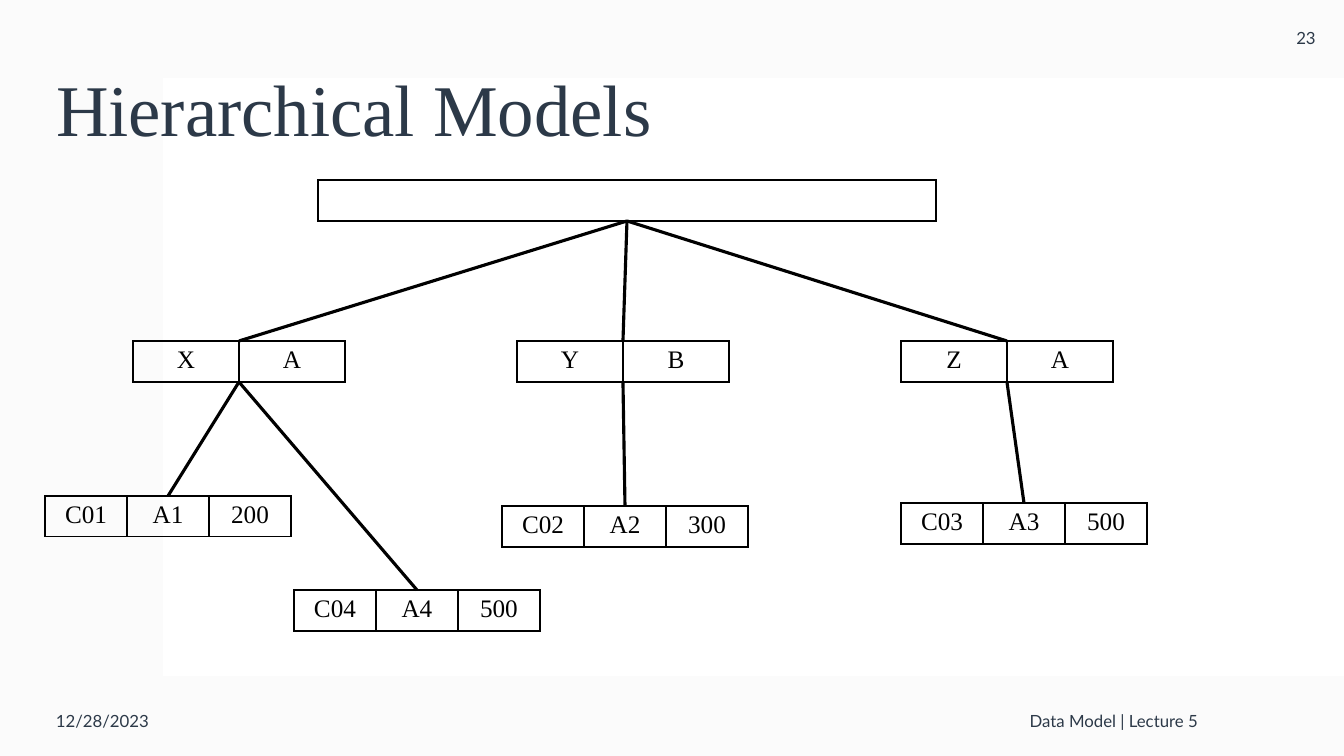
from lxml import etree
from pptx import Presentation
from pptx.dml.color import RGBColor
from pptx.enum.shapes import MSO_CONNECTOR, MSO_SHAPE
from pptx.enum.text import MSO_ANCHOR, MSO_AUTO_SIZE, PP_ALIGN
from pptx.oxml.ns import qn
from pptx.util import Emu, Pt

LEFT, CENTER, RIGHT = PP_ALIGN.LEFT, PP_ALIGN.CENTER, PP_ALIGN.RIGHT
TOP, MIDDLE = MSO_ANCHOR.TOP, MSO_ANCHOR.MIDDLE
RECTANGLE, STRAIGHT = MSO_SHAPE.RECTANGLE, MSO_CONNECTOR.STRAIGHT
NO_AUTOFIT = MSO_AUTO_SIZE.NONE

EMU_PER_PX = 914400 / 100.8
SLIDE_WIDTH, SLIDE_HEIGHT = 1344, 756
SERIF, SANS = "Times New Roman", "Lato"
NAVY, BLACK, WHITE, MIST = "2C3948", "000000", "FFFFFF", "F4F4F4"
ROW_HEIGHT = 41

# Each record: left, top, height, column width, field values
ROOT = (318, 180, ROW_HEIGHT, 618, [""])
BRANCHES = [
    ((133, 341, ROW_HEIGHT, 106, ["X", "A"]),
     [(45, 496, 39, 82, ["C01", "A1", "200"]),
      (294, 590, ROW_HEIGHT, 82, ["C04", "A4", "500"])]),
    ((517, 341, ROW_HEIGHT, 106, ["Y", "B"]),
     [(502, 506, ROW_HEIGHT, 82, ["C02", "A2", "300"])]),
    ((901, 341, ROW_HEIGHT, 106, ["Z", "A"]),
     [(901, 503, ROW_HEIGHT, 82, ["C03", "A3", "500"])]),
]


def px(length):
    return Emu(round(length * EMU_PER_PX))


def color(value):
    return RGBColor.from_string(value)


def write(text_frame, text, size=12, font=SANS, ink=NAVY, align=LEFT, spacing=None):
    paragraph = text_frame.paragraphs[0]
    paragraph.alignment = align
    paragraph.line_spacing = spacing
    run = paragraph.add_run()
    run.text = text
    run.font.size, run.font.name = Pt(size), font
    run.font.color.rgb = color(ink)


def add_panel(slide, box, fill, opacity=100):
    panel = slide.shapes.add_shape(RECTANGLE, *map(px, box))
    panel.shadow.inherit = False
    panel.line.fill.background()
    panel.fill.solid()
    panel.fill.fore_color.rgb = color(fill)
    if opacity < 100:
        fill_color = panel.fill._xPr.find(qn("a:solidFill"))[0]
        etree.SubElement(fill_color, qn("a:alpha"), val=str(opacity * 1000))


def add_title(slide, box, text):
    title = slide.shapes.title
    title.left, title.top, title.width, title.height = map(px, box)
    frame = title.text_frame
    frame.auto_size, frame.vertical_anchor = NO_AUTOFIT, MIDDLE
    write(frame, text, size=52, font=SERIF, spacing=0.9)
    slide.shapes._spTree.append(title._element)  # bring in front of the panels


def add_label(slide, box, text, align):
    frame = slide.shapes.add_textbox(*map(px, box)).text_frame
    frame.word_wrap, frame.vertical_anchor = True, MIDDLE
    write(frame, text, align=align)


def outline_cell(cell):
    properties = cell._tc.get_or_add_tcPr()
    for index, side in enumerate(("a:lnL", "a:lnR", "a:lnT", "a:lnB")):
        border = etree.Element(qn(side), w=str(Pt(1)))
        fill = etree.SubElement(border, qn("a:solidFill"))
        etree.SubElement(fill, qn("a:srgbClr"), val=BLACK)
        properties.insert(index, border)


def add_record(slide, record):
    """Draw one record as a single-row table."""
    left, top, height, column_width, values = record
    width = column_width * len(values)
    table = slide.shapes.add_table(
        1, len(values), *map(px, (left, top, width, height))).table
    table.first_row = table.horz_banding = False
    for cell, value in zip(table.rows[0].cells, values):
        cell.fill.background()
        cell.vertical_anchor = TOP
        outline_cell(cell)
        if value:
            write(cell.text_frame, value, size=18, font=SERIF, ink=BLACK, align=CENTER)


def add_link(slide, parent, child):
    """Join the parent's bottom middle to the child's top middle."""
    start_x, end_x = (left + column_width * len(values) / 2
                      for left, _, _, column_width, values in (parent, child))
    points = (start_x, parent[1] + parent[2], end_x, child[1])
    link = slide.shapes.add_connector(STRAIGHT, *map(px, points))
    link.line.color.rgb = color(BLACK)
    link.line.width = Pt(2.25)
    etree.SubElement(link._element.spPr, qn("a:effectLst"))


def add_hierarchy(slide):
    add_record(slide, ROOT)
    for branch, leaves in BRANCHES:
        add_record(slide, branch)
        add_link(slide, ROOT, branch)
        for leaf in leaves:
            add_record(slide, leaf)
            add_link(slide, branch, leaf)


def main():
    presentation = Presentation()
    presentation.slide_width = px(SLIDE_WIDTH)
    presentation.slide_height = px(SLIDE_HEIGHT)
    slide = presentation.slides.add_slide(presentation.slide_layouts[5])
    add_panel(slide, (0, 0, SLIDE_WIDTH, SLIDE_HEIGHT), MIST, opacity=35)
    add_panel(slide, (163, 78, SLIDE_WIDTH - 163, 598), WHITE)
    add_title(slide, (46, 40, 1162, 146), "Hierarchical Models")
    add_label(slide, (46, 685, 302, 71), "12/28/2023", LEFT)
    add_label(slide, (415, 685, 793, 71), "Data Model | Lecture 5", RIGHT)
    add_label(slide, (1268, 0, 76, 76), "23", CENTER)
    add_hierarchy(slide)
    presentation.save("out.pptx")


if __name__ == "__main__":
    main()
